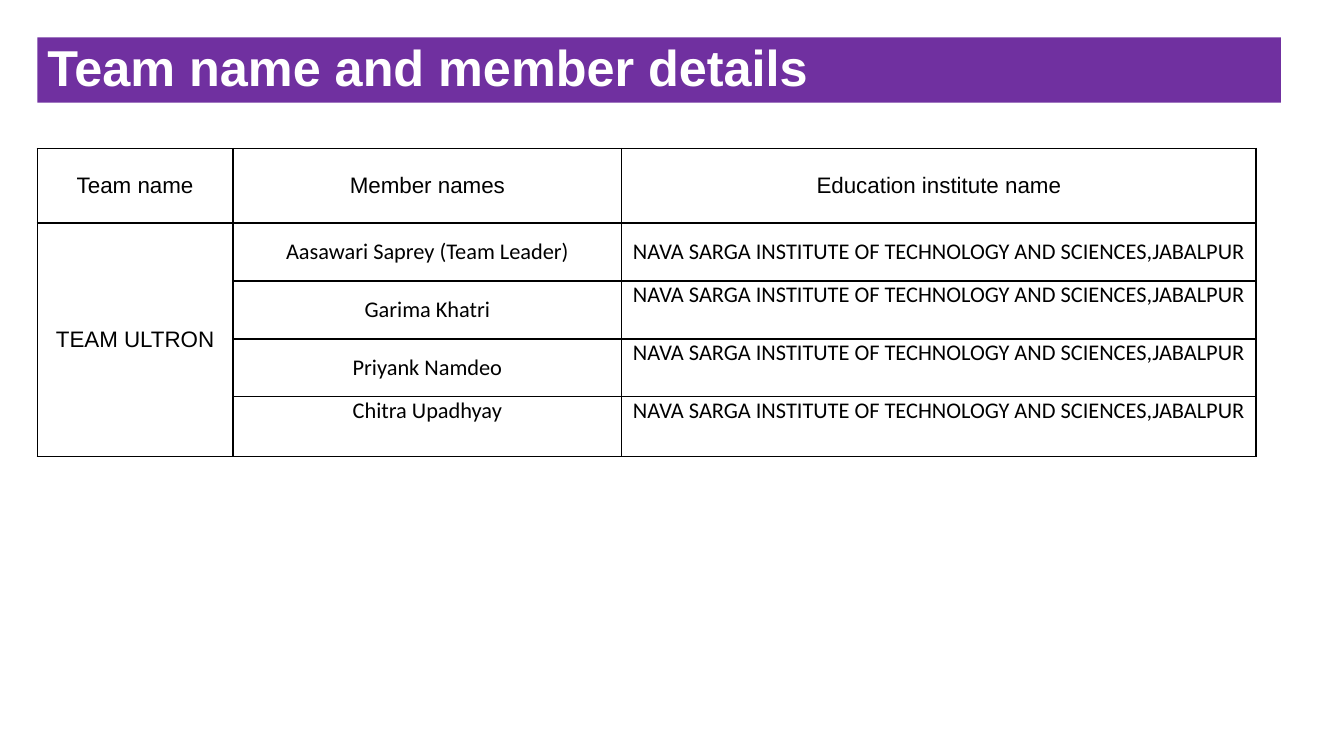
from dataclasses import dataclass

from lxml import etree
from pptx import Presentation
from pptx.dml.color import RGBColor
from pptx.enum import text
from pptx.oxml import ns
from pptx.util import Cm, Pt


@dataclass(frozen=True)
class Theme:
    banner: RGBColor = RGBColor(0x70, 0x30, 0xA0)
    banner_text: RGBColor = RGBColor(0xFF, 0xFF, 0xFF)
    ink: RGBColor = RGBColor(0, 0, 0)
    title_size: int = 36
    table_size: int = 16
    heading_font: str = "Arial"
    body_font: str = "Calibri"


theme = Theme()
MIDDLE, TOP = text.MSO_ANCHOR.MIDDLE, text.MSO_ANCHOR.TOP


def style_text(para, font_name, size, color, bold=False):
    for span in para.runs:
        span.font.name = font_name
        span.font.size = Pt(size)
        span.font.color.rgb = color
        span.font.bold = bold


def add_borders(cell):
    properties = cell._tc.get_or_add_tcPr()
    for side in ("a:lnL", "a:lnR", "a:lnT", "a:lnB"):
        line = etree.SubElement(properties, ns.qn(side), w=str(Pt(1)))
        fill = etree.SubElement(line, ns.qn("a:solidFill"))
        etree.SubElement(fill, ns.qn("a:srgbClr"), val=str(theme.ink))


# Slide
deck = Presentation()
deck.slide_width, deck.slide_height = Cm(33.87), Cm(19.05)
page = deck.slides.add_slide(deck.slide_layouts[5])

# Title banner
title = page.shapes.title
title.left, title.top, title.width, title.height = Cm(0.94), Cm(0.94), Cm(31.34), Cm(1.65)
title.fill.solid()
title.fill.fore_color.rgb = theme.banner
title.text_frame.text = "Team name and member details"
title.text_frame.auto_size = text.MSO_AUTO_SIZE.NONE
title.text_frame.vertical_anchor = MIDDLE
title_para = title.text_frame.paragraphs[0]
title_para.alignment = text.PP_ALIGN.LEFT
title_para.line_spacing = 0.9
style_text(title_para, theme.heading_font, theme.title_size, theme.banner_text, bold=True)

# Table contents
institute = "NAVA SARGA INSTITUTE OF TECHNOLOGY AND SCIENCES,JABALPUR"
members = ["Aasawari Saprey (Team Leader)", "Garima Khatri", "Priyank Namdeo", "Chitra Upadhyay"]
rows = [["Team name", "Member names", "Education institute name"]]
rows += [["", member, institute] for member in members]
rows[1][0] = "TEAM ULTRON"
top_cells = {(2, 2), (3, 2), (4, 1), (4, 2)}

# Table frame
column_widths = [4.93, 9.8, 15.98]
row_heights = [1.88, 1.46, 1.46, 1.46, 1.5]
frame = page.shapes.add_table(len(rows), len(column_widths), Cm(0.94), Cm(3.74),
                              Cm(sum(column_widths)), Cm(sum(row_heights)))
table = frame.table
table.first_row = table.horz_banding = False
for column, width in zip(table.columns, column_widths):
    column.width = Cm(width)
for row, height in zip(table.rows, row_heights):
    row.height = Cm(height)
table.cell(1, 0).merge(table.cell(len(members), 0))

# Table cells
for r, values in enumerate(rows):
    for c, value in enumerate(values):
        cell = table.cell(r, c)
        add_borders(cell)
        cell.fill.background()
        cell.margin_left = cell.margin_right = cell.margin_top = cell.margin_bottom = 0
        cell.vertical_anchor = TOP if (r, c) in top_cells else MIDDLE
        cell.text_frame.text = value
        para = cell.text_frame.paragraphs[0]
        para.alignment = text.PP_ALIGN.CENTER
        font_name = theme.heading_font if r == 0 or c == 0 else theme.body_font
        style_text(para, font_name, theme.table_size, theme.ink)

deck.save("out.pptx")
